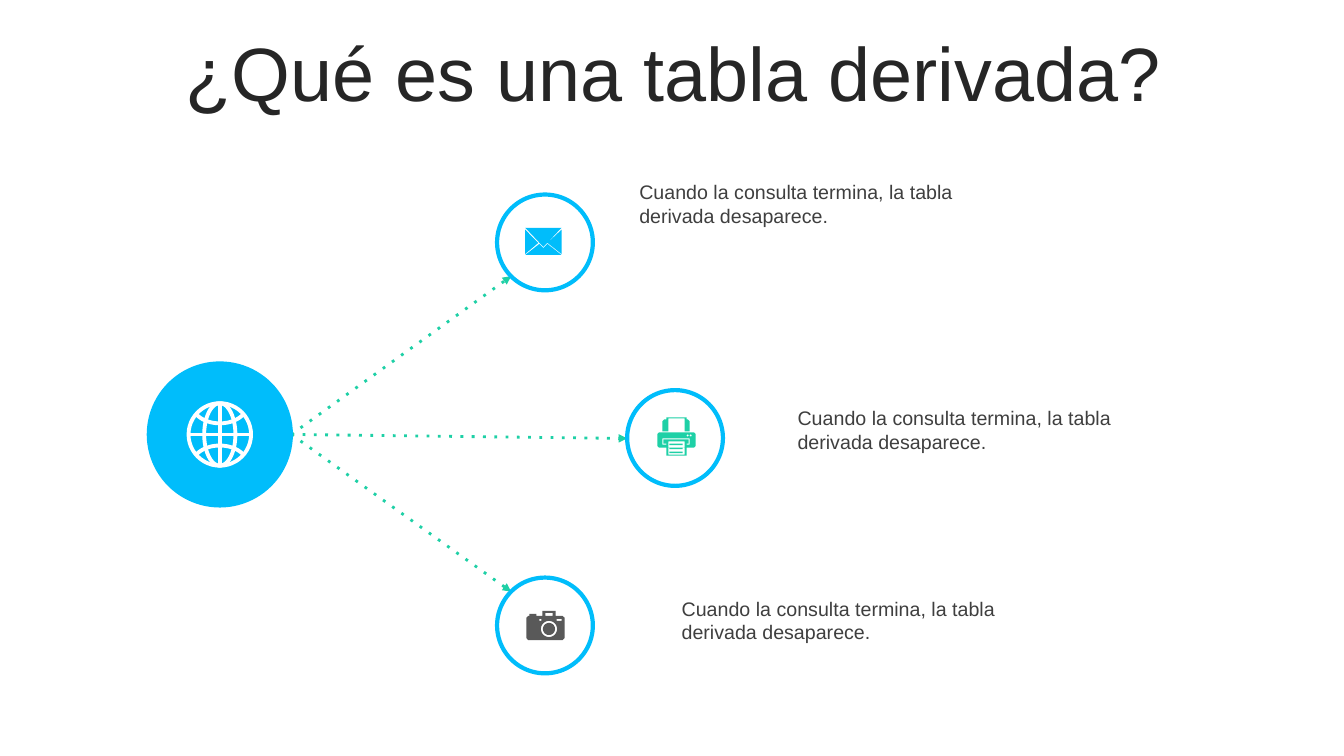
"""Build a slide that shows a hub linked to three facts about derived tables."""
from math import cos, radians, sin

from lxml import etree
from pptx import Presentation
from pptx.dml.color import RGBColor
from pptx.enum.shapes import MSO_CONNECTOR, MSO_SHAPE
from pptx.enum.text import MSO_ANCHOR, MSO_AUTO_SIZE, PP_ALIGN
from pptx.oxml.ns import qn
from pptx.util import Inches, Pt

STRAIGHT = MSO_CONNECTOR.STRAIGHT
OVAL = MSO_SHAPE.OVAL
MIDDLE, TOP = MSO_ANCHOR.MIDDLE, MSO_ANCHOR.TOP
NO_FIT, FIT_SHAPE = MSO_AUTO_SIZE.NONE, MSO_AUTO_SIZE.SHAPE_TO_FIT_TEXT
CENTER, LEFT = PP_ALIGN.CENTER, PP_ALIGN.LEFT

BLUE = RGBColor(0x00, 0xBD, 0xFB)
GREEN = RGBColor(0x1E, 0xD0, 0xA6)
GRAY = RGBColor(0x59, 0x59, 0x59)
WHITE = RGBColor(0xFF, 0xFF, 0xFF)
TITLE_COLOR = RGBColor(0x26, 0x26, 0x26)
TEXT_COLOR = RGBColor(0x3F, 0x3F, 0x3F)

TITLE = "¿Qué es una tabla derivada?"
FACT = "Cuando la consulta termina, la tabla derivada desaparece."
FACT_SIZE = (3.95, 1.28)
HUB_CENTER, HUB_DIAMETER = (2.18, 4.31), 1.45
HUB_EDGE = (2.89, 4.31)
NODE_DIAMETER = 0.95
NODES = [
    {"center": (5.405, 2.405), "arrow": (5.07, 2.74), "fact": (6.22, 1.74)},
    {"center": (6.695, 4.345), "arrow": (6.22, 4.35), "fact": (7.79, 3.98)},
    {"center": (5.405, 6.205), "arrow": (5.07, 5.87), "fact": (6.64, 5.87)},
]

TITLE_FRAME = {
    "vertical_anchor": MIDDLE, "auto_size": NO_FIT, "word_wrap": True,
    "margin_left": Inches(0.1), "margin_right": Inches(0.1),
    "margin_top": Inches(0.05), "margin_bottom": Inches(0.05),
}
FACT_FRAME = TITLE_FRAME | {
    "vertical_anchor": TOP, "auto_size": FIT_SHAPE,
    "margin_left": Inches(0.12), "margin_right": Inches(0.12),
}


def apply_format(target, values):
    """Set each named attribute on the target."""
    for name, value in values.items():
        setattr(target, name, value)


def paint(shape, fill=None, line=None, width=0):
    """Give a shape a plain fill and outline without a shadow."""
    shape.shadow.inherit = False
    for fill_format, color in ((shape.fill, fill), (shape.line.fill, line)):
        if color is None:
            fill_format.background()
        else:
            fill_format.solid()
            fill_format.fore_color.rgb = color
    if line is not None:
        shape.line.width = Pt(width)


def write_text(shape, text, frame_format, paragraph_format, size, color):
    """Write one formatted paragraph in a shape."""
    frame = shape.text_frame
    apply_format(frame, frame_format)
    paragraph = frame.paragraphs[0]
    apply_format(paragraph, paragraph_format)
    run = paragraph.add_run()
    run.text = text
    apply_format(run.font, {"name": "Arial", "size": Pt(size)})
    run.font.color.rgb = color


def add_title(slide):
    """Place and fill the title placeholder."""
    title = slide.shapes.title
    apply_format(title, {"left": Inches(0.35), "top": Inches(0.37),
                         "width": Inches(12.66), "height": Inches(0.79)})
    write_text(title, TITLE, TITLE_FRAME,
               {"alignment": CENTER, "line_spacing": 0.9}, 54, TITLE_COLOR)


def add_fact(slide, left, top):
    """Add the text beside a node."""
    width, height = FACT_SIZE
    box = slide.shapes.add_textbox(Inches(left), Inches(top), Inches(width), Inches(height))
    write_text(box, FACT, FACT_FRAME, {"alignment": LEFT}, 14, TEXT_COLOR)


def add_arrow(slide, start, end):
    """Add a dotted arrow between two points."""
    arrow = slide.shapes.add_connector(STRAIGHT, *map(Inches, start + end))
    arrow.line.color.rgb = GREEN
    arrow.line.width = Pt(2)
    properties = arrow._element.spPr
    outline = properties.find(qn("a:ln"))
    etree.SubElement(outline, qn("a:prstDash")).set("val", "dot")
    etree.SubElement(outline, qn("a:tailEnd")).set("type", "triangle")
    etree.SubElement(properties, qn("a:effectLst"))


def add_circle(slide, center, diameter, **colors):
    """Add a circle around a center point."""
    left, top = (Inches(value - diameter / 2) for value in center)
    circle = slide.shapes.add_shape(OVAL, left, top, Inches(diameter), Inches(diameter))
    paint(circle, **colors)


def add_icon(slide, contours, closed=True, **colors):
    """Draw all contours of an icon as one freeform."""
    builder = None
    for contour in contours:
        points = [(Inches(x), Inches(y)) for x, y in contour]
        if builder is None:
            builder = slide.shapes.build_freeform(*points[0])
        else:
            builder.move_to(*points[0])
        builder.add_line_segments(points[1:], close=closed)
    paint(builder.convert_to_shape(), **colors)


def arc(x, y, radius_x, radius_y, start=0, end=360):
    """Return points on an elliptical arc."""
    angles = [radians(start + (end - start) * step / 48) for step in range(49)]
    return [(x + radius_x * cos(a), y + radius_y * sin(a)) for a in angles]


def box(left, top, right, bottom, cut=0):
    """Return the corners of a rectangle, bevelled if a cut is given."""
    if not cut:
        return [(left, top), (right, top), (right, bottom), (left, bottom)]
    return [(left + cut, top), (right - cut, top), (right, top + cut),
            (right, bottom - cut), (right - cut, bottom), (left + cut, bottom),
            (left, bottom - cut), (left, top + cut)]


def add_globe(slide):
    """Draw the globe in the hub."""
    x, y = HUB_CENTER
    radius = 0.31
    contours = [
        arc(x, y, radius, radius), arc(x, y, 0.155, radius),
        [(x, y - radius), (x, y + radius)], [(x - radius, y), (x + radius, y)],
        arc(x, y - radius, 0.28, 0.2, 35, 145),
        arc(x, y + radius, 0.28, 0.2, 215, 325),
    ]
    add_icon(slide, contours, closed=False, line=WHITE, width=2.75)


def add_envelope(slide):
    """Draw the envelope from its four flaps."""
    add_icon(slide, [
        [(5.43, 2.42), (5.57, 2.53), (5.21, 2.53), (5.35, 2.42), (5.39, 2.46)],
        [(5.57, 2.28), (5.57, 2.52), (5.43, 2.41)],
        [(5.21, 2.28), (5.34, 2.41), (5.21, 2.52)],
        [(5.21, 2.26), (5.57, 2.26), (5.39, 2.45)],
    ], fill=BLUE)


def add_printer(slide):
    """Draw the printer with its sheet, slot and lights."""
    text_lines = [box(6.64, top, 6.77, top + 0.015) for top in (4.4, 4.44, 4.48)]
    lights = [arc(x, 4.32, 0.01, 0.01) for x in (6.82, 6.85)]
    slot = [(6.57, 4.35), (6.57, 4.41), (6.61, 4.41), (6.61, 4.4), (6.58, 4.4), (6.58, 4.36),
            (6.83, 4.36), (6.83, 4.4), (6.81, 4.4), (6.81, 4.41), (6.84, 4.41), (6.84, 4.35)]
    feeder = [(6.61, 4.14), (6.81, 4.14), (6.81, 4.16), (6.82, 4.16), (6.84, 4.18),
              (6.84, 4.28), (6.79, 4.28), (6.79, 4.15), (6.63, 4.15), (6.63, 4.28),
              (6.57, 4.28), (6.57, 4.18), (6.59, 4.16), (6.61, 4.16)]
    add_icon(slide, [
        box(6.52, 4.29, 6.9, 4.44, 0.015), box(6.61, 4.44, 6.81, 4.52),
        box(6.63, 4.38, 6.79, 4.51), slot, feeder, *lights, *text_lines,
    ], fill=GREEN)


def add_camera(slide):
    """Draw the camera with its lens, viewfinder and buttons."""
    lens = [arc(5.445, 6.24, radius, radius) for radius in (0.08, 0.06)]
    add_icon(slide, [
        box(5.22, 6.11, 5.6, 6.35, 0.02), box(5.25, 6.09, 5.32, 6.11),
        box(5.38, 6.06, 5.51, 6.11), box(5.41, 6.08, 5.48, 6.11),
        box(5.35, 6.14, 5.37, 6.16), box(5.52, 6.14, 5.57, 6.16), *lens,
    ], fill=GRAY)


def main():
    """Build and save the presentation."""
    presentation = Presentation()
    presentation.slide_width, presentation.slide_height = Inches(13.33), Inches(7.5)
    slide = presentation.slides.add_slide(presentation.slide_layouts[5])
    add_title(slide)
    for node in NODES:
        add_arrow(slide, HUB_EDGE, node["arrow"])
    add_circle(slide, HUB_CENTER, HUB_DIAMETER, fill=BLUE)
    for node in NODES:
        add_circle(slide, node["center"], NODE_DIAMETER, fill=WHITE, line=BLUE, width=3)
        add_fact(slide, *node["fact"])
    for add_symbol in (add_globe, add_envelope, add_printer, add_camera):
        add_symbol(slide)
    presentation.save("out.pptx")


if __name__ == "__main__":
    main()
